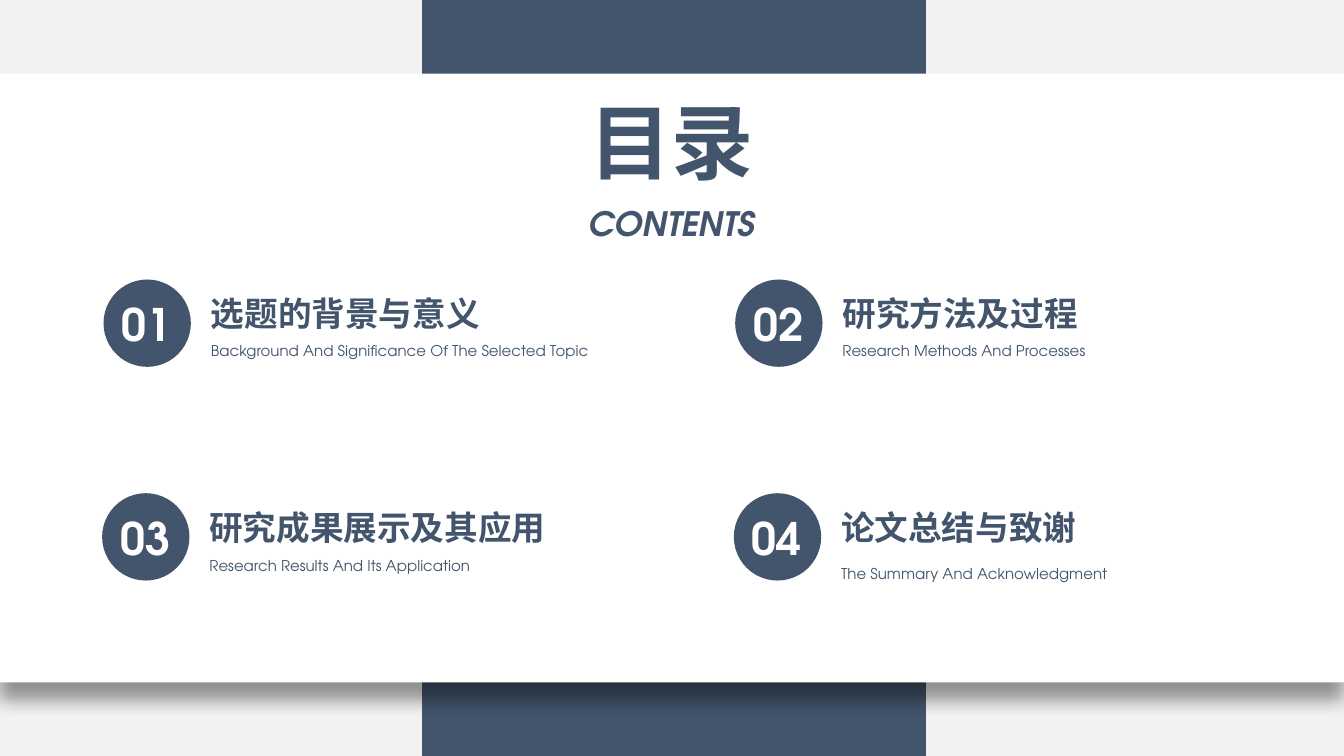
from dataclasses import dataclass

from lxml import etree
from pptx import Presentation
from pptx.dml.color import RGBColor
from pptx.enum.shapes import MSO_SHAPE
from pptx.enum.text import MSO_AUTO_SIZE, PP_ALIGN
from pptx.oxml.ns import qn
from pptx.util import Inches, Pt

RECT, OVAL = MSO_SHAPE.RECTANGLE, MSO_SHAPE.OVAL
LEFT, CENTER = PP_ALIGN.LEFT, PP_ALIGN.CENTER


@dataclass(frozen=True)
class Theme:
    navy: RGBColor = RGBColor(0x42, 0x55, 0x6C)
    white: RGBColor = RGBColor(0xFF, 0xFF, 0xFF)
    backdrop: RGBColor = RGBColor(0xF2, 0xF2, 0xF2)
    chinese: str = "Noto Sans CJK SC"
    english: str = "TeX Gyre Adventor"
    title: int = 44
    number: int = 24
    heading: int = 18
    caption: int = 8


THEME = Theme()
WIDTH = 10
HEIGHT = WIDTH * 9 / 16
CIRCLE = 0.65

# number, left, top, heading, its width, caption, its width, caption offset
ENTRIES = [
    ("01", 0.77, 2.08, "选题的背景与意义", 2.22,
     "Background And Significance Of The Selected Topic", 3.03, 0.41),
    ("02", 5.47, 2.08, "研究方法及过程", 1.97,
     "Research Methods And Processes", 2.04, 0.41),
    ("03", 0.76, 3.67, "研究成果展示及其应用", 2.73,
     "Research Results And Its Application", 2.15, 0.42),
    ("04", 5.46, 3.67, "论文总结与致谢", 1.97,
     "The Summary And Acknowledgment", 2.2, 0.48),
]


def add_block(shapes, kind, box, color):
    block = shapes.add_shape(kind, *map(Inches, box))
    block.shadow.inherit = False
    block.fill.solid()
    block.fill.fore_color.rgb = color
    block.line.fill.background()
    return block


def add_label(shapes, box, text, size, font_name, color=THEME.navy,
              align=LEFT, bold=True, italic=False, wrap=False):
    label = shapes.add_textbox(*map(Inches, box))
    frame = label.text_frame
    frame.word_wrap = wrap
    frame.auto_size = MSO_AUTO_SIZE.SHAPE_TO_FIT_TEXT
    frame.text = text
    paragraph = frame.paragraphs[0]
    paragraph.alignment = align
    font = paragraph.runs[0].font
    font.size, font.name = Pt(size), font_name
    font.bold, font.italic = bold, italic
    font.color.rgb = color
    # East Asian characters take their own typeface
    etree.SubElement(font._element, qn("a:ea")).set("typeface", font_name)


def add_drop_shadow(shape, blur, distance, opacity):
    effects = shape._element.spPr.find(qn("a:effectLst"))
    shadow = etree.SubElement(
        effects, qn("a:outerShdw"), blurRad=str(Pt(blur)), dist=str(Pt(distance)),
        dir=str(90 * 60000), algn="t", rotWithShape="0")
    color = etree.SubElement(shadow, qn("a:srgbClr"), val="000000")
    etree.SubElement(color, qn("a:alpha"), val=str(opacity * 1000))


def add_backdrop(slide, left, top, width, height):
    slide.background.fill.solid()
    slide.background.fill.fore_color.rgb = THEME.backdrop
    add_block(slide.shapes, RECT, (left + 3.14, top, 3.75, height), THEME.navy)
    panel_height = 4.53
    panel_top = top + (height - panel_height) / 2
    panel = add_block(slide.shapes, RECT, (left, panel_top, width, panel_height),
                      THEME.white)
    add_drop_shadow(panel, blur=10, distance=10, opacity=40)


def add_title(slide, left, top, width):
    middle = left + width / 2
    add_label(slide.shapes, (middle - 0.72, top, 1.44, 0.84), "目录",
              THEME.title, THEME.chinese, align=CENTER)
    add_label(slide.shapes, (middle - 0.8, top + 0.83, 1.6, 0.4), "CONTENTS",
              THEME.heading, THEME.english, align=CENTER, italic=True, wrap=True)


def add_entry(slide, number, left, top, heading, heading_width,
              caption, caption_width, caption_offset):
    text_left = left + 0.7
    add_label(slide.shapes, (text_left, top + 0.05, heading_width, 0.4), heading,
              THEME.heading, THEME.chinese)
    add_label(slide.shapes, (text_left, top + caption_offset, caption_width, 0.24),
              caption, THEME.caption, THEME.english, bold=False)
    # Numbered circle
    badge = slide.shapes.add_group_shape()
    add_block(badge.shapes, OVAL, (left, top, CIRCLE, CIRCLE), THEME.navy)
    add_label(badge.shapes, (left + 0.03, top + 0.08, 0.58, 0.5), number,
              THEME.number, THEME.english, THEME.white, CENTER)


def main():
    deck = Presentation()
    deck.slide_width, deck.slide_height = Inches(WIDTH), Inches(HEIGHT)
    slide = deck.slides.add_slide(deck.slide_layouts[6])
    add_backdrop(slide, 0, 0, WIDTH, HEIGHT)
    for entry in ENTRIES:
        add_entry(slide, *entry)
    add_title(slide, 0, 0.63, WIDTH)
    deck.save("out.pptx")


if __name__ == "__main__":
    main()
